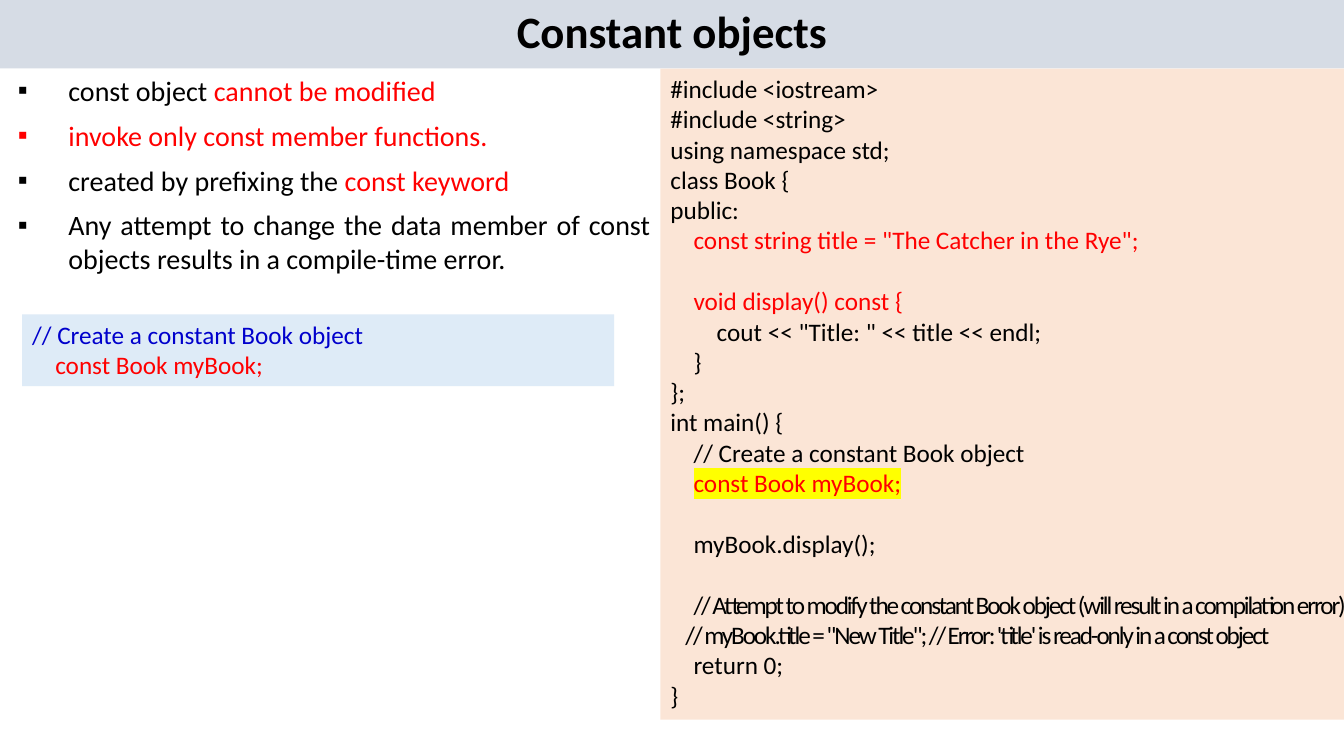
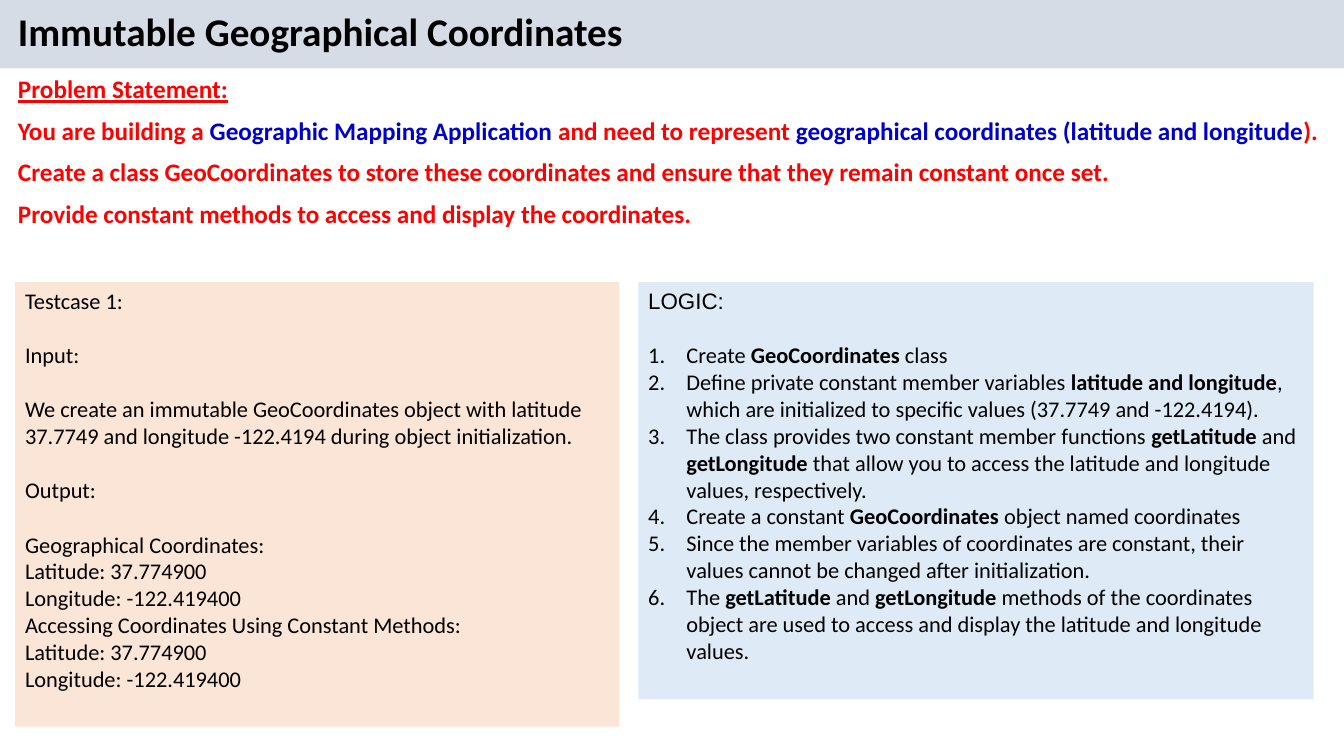
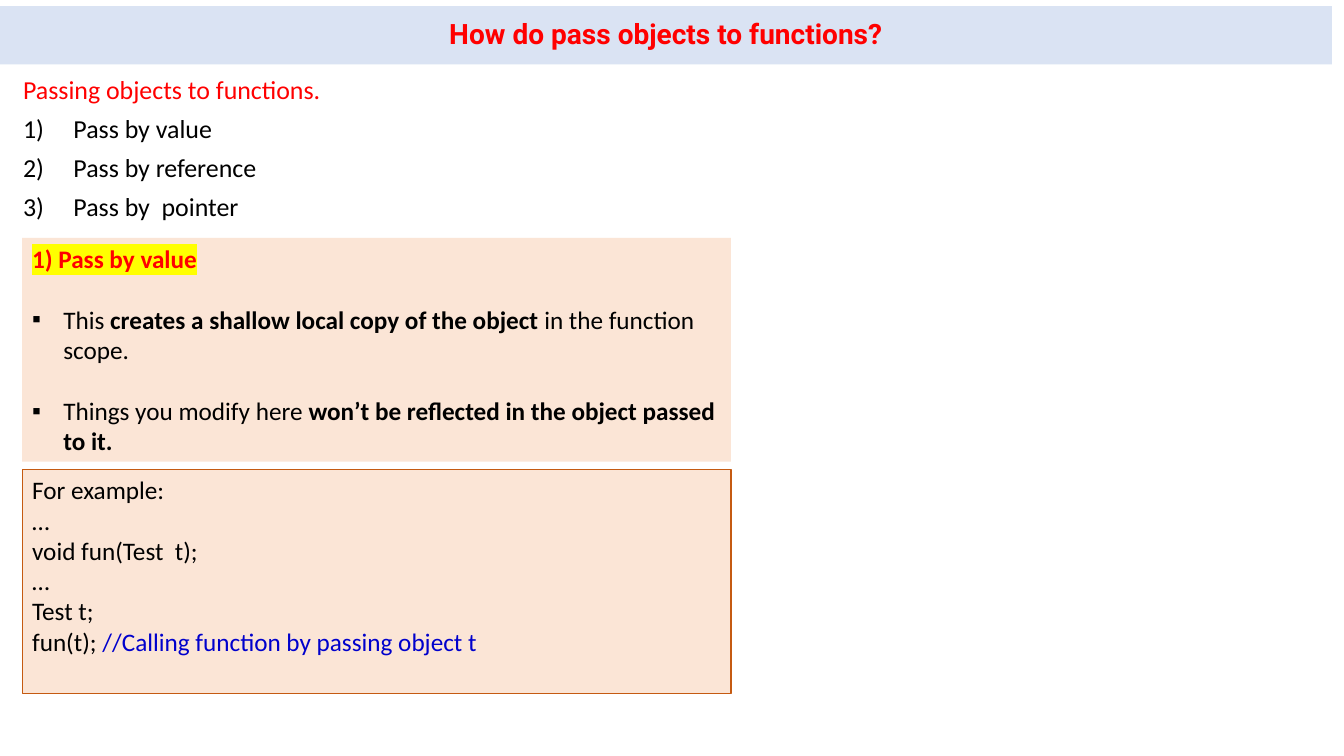
from lxml import etree
from pptx import Presentation
from pptx import util as u
from pptx.dml.color import RGBColor
from pptx.enum import shapes, text
from pptx.oxml.ns import qn

WIDTH, HEIGHT = 13.33, 7.5
BLACK, RED, BLUE, YELLOW = "000000", "FF0000", "0000CC", "FFFF00"
BAND, PEACH, SKY, PALE, RUST = "D6DCE5", "FBE5D6", "DEEBF7", "DAE3F3", "C55A11"
BAND_HEIGHT = 9.07
LINE_FACTOR = 1.22
TAB = 0.23
SQUARE, DOTTED, BRACKETED = "▪", "arabicPeriod", "arabicParenR"
CENTER, JUSTIFY = text.PP_ALIGN.CENTER, text.PP_ALIGN.JUSTIFY


def rgb(value):
    return RGBColor.from_string(value)


def red(words, **style):
    return words, {"color": RED, **style}


def blue(words):
    return words, {"color": BLUE}


def bold(words):
    return words, {"bold": True}


def line(*spans, **layout):
    """Describe one paragraph: its spans and its layout."""
    return spans, layout


def style_span(span, size, font="Calibri", color=BLACK, bold=False,
               underline=False, highlight=None, tracking=0):
    span.font.size = u.Pt(size)
    span.font.bold = bold
    span.font.underline = underline
    span.font.color.rgb = rgb(color)
    properties = span.font._element
    if highlight:
        mark = etree.SubElement(properties, qn("a:highlight"))
        etree.SubElement(mark, qn("a:srgbClr"), val=highlight)
    if tracking:
        properties.set("spc", str(int(tracking * 100)))
    span.font.name = font


def add_bullet(properties, bullet):
    if bullet == SQUARE:
        etree.SubElement(properties, qn("a:buFont"), typeface="Arial")
        etree.SubElement(properties, qn("a:buChar"), char=bullet)
    else:
        etree.SubElement(properties, qn("a:buFont"), typeface="+mj-lt")
        etree.SubElement(properties, qn("a:buAutoNum"), type=bullet)


def fill_para(para, spans, size, align=None, left=0, hang=0, bullet=None,
              spacing=None, before=0, after=0, skip=0, **style):
    """Write spans; skip is a gap above, counted in lines of text."""
    para.alignment = align
    para.line_spacing = spacing
    para.space_before = u.Pt(round(before + skip * size * LINE_FACTOR, 1))
    para.space_after = u.Pt(after)
    properties = para._p.get_or_add_pPr()
    properties.set("marL", str(u.Inches(left)))
    properties.set("indent", str(u.Inches(-hang)))
    if bullet:
        add_bullet(properties, bullet)
    for item in spans:
        words, own = (item, {}) if isinstance(item, str) else item
        span = para.add_run()
        span.text = words
        style_span(span, size, **{**style, **own})


def add_panel(page, area, lines, size, fill=None, border=None,
              anchor=text.MSO_ANCHOR.TOP, **defaults):
    """Place text in an area given as percentages of the slide's size."""
    left, top, width, height = area
    frame = [u.Inches(share * side / 100) for share, side in
             ((left, WIDTH), (top, HEIGHT), (width, WIDTH), (height, HEIGHT))]
    if fill:
        box = page.shapes.add_shape(shapes.MSO_SHAPE.RECTANGLE, *frame)
        box.shadow.inherit = False
        box.fill.solid()
        box.fill.fore_color.rgb = rgb(fill)
        if border:
            box.line.color.rgb = rgb(border)
            box.line.width = u.Pt(0.75)
        else:
            box.line.fill.background()
    else:
        box = page.shapes.add_textbox(*frame)
    body = box.text_frame
    body.word_wrap = True
    body.vertical_anchor = anchor
    for index, (spans, layout) in enumerate(lines):
        para = body.add_paragraph() if index else body.paragraphs[0]
        fill_para(para, spans, size,
                  **{"align": text.PP_ALIGN.LEFT, **defaults, **layout})


def add_title(page, words, size, area=(0, 0, 100, BAND_HEIGHT), fill=BAND,
              **layout):
    add_panel(page, area, [line(words)], size, fill, bold=True, spacing=0.9,
              anchor=text.MSO_ANCHOR.MIDDLE, **layout)


def build_constant_objects(page):
    add_title(page, "Constant objects", 32, align=CENTER, after=8)
    add_panel(page, (0, BAND_HEIGHT, 49.14, 28.27), [
        line("const object ", red("cannot be modified ")),
        line(red("invoke only const member functions.")),
        line("created by prefixing the ", red("const keyword")),
        line("Any attempt to change the data member of const objects "
             "results in a compile-time error."),
    ], 20, align=JUSTIFY, left=0.58, hang=0.5, bullet=SQUARE, after=8)
    add_panel(page, (1.65, 41.6, 44.04, 9.47), [
        line(blue("// Create a constant Book object")),
        line(red("const Book myBook;"), left=TAB),
    ], 18, SKY)
    add_panel(page, (49.14, BAND_HEIGHT, 51.76, 86.13), [
        line("#include <iostream>"),
        line("#include <string>"),
        line("using namespace std;"),
        line("class Book {"),
        line("public:"),
        line(red('const string title = "The Catcher in the Rye";'), left=TAB),
        line(red("void display() const {"), left=TAB, skip=1),
        line('cout << "Title: " << title << endl;', left=2 * TAB),
        line("}", left=TAB),
        line("};"),
        line("int main() {"),
        line("// Create a constant Book object", left=TAB),
        line(red("const Book myBook;", highlight=YELLOW), left=TAB),
        line("myBook.display();", left=TAB, skip=1),
        line("// Attempt to modify the constant Book object "
             "(will result in a compilation error)",
             left=TAB, skip=1, tracking=-1.5),
        line('// myBook.title = "New Title"; '
             "// Error: 'title' is read-only in a const object",
             left=0.15, tracking=-1.5),
        line("return 0;", left=TAB),
        line("}"),
    ], 18, PEACH)


def build_coordinates(page):
    add_title(page, "Immutable Geographical Coordinates", 28,
              align=JUSTIFY, left=0.08, after=8)
    add_panel(page, (0, BAND_HEIGHT, 100, 22), [
        line("Problem Statement:", underline=True),
        line("You are building a ", blue("Geographic Mapping Application "),
             "and need to represent ",
             blue("geographical coordinates (latitude and longitude"), "). "),
        line("Create a class GeoCoordinates to store these coordinates and "
             "ensure that they remain constant once set. "),
        line("Provide constant methods to access and display the "
             "coordinates."),
    ], 18, align=JUSTIFY, left=0.08, after=8, color=RED, bold=True)

    readings = [line("Latitude: 37.774900"), line("Longitude: -122.419400")]
    add_panel(page, (1.13, 37.33, 44.94, 58.8), [
        line("Testcase 1:"),
        line("Input:", skip=1),
        line("We create an immutable GeoCoordinates object with latitude "
             "37.7749 and longitude -122.4194 during object initialization.",
             skip=1),
        line("Output:", skip=1),
        line("Geographical Coordinates:", skip=1),
        *readings,
        line("Accessing Coordinates Using Constant Methods:"),
        *readings,
    ], 16, PEACH)

    step = {"left": 0.38, "hang": 0.38, "bullet": DOTTED}
    add_panel(page, (47.49, 37.33, 50.26, 55.2), [
        line("LOGIC:", font="Arial"),
        line("Create ", bold("GeoCoordinates"), " class", skip=1, **step),
        line("Define private constant member variables ",
             bold("latitude and longitude"),
             ", which are initialized to specific values "
             "(37.7749 and -122.4194).", **step),
        line("The class provides two constant member functions ",
             bold("getLatitude"), " and ", bold("getLongitude"),
             " that allow you to access the latitude and longitude values, "
             "respectively.", **step),
        line("Create a constant ", bold("GeoCoordinates"),
             " object named coordinates", **step),
        line("Since the member variables of coordinates are constant, their "
             "values cannot be changed after initialization.", **step),
        line("The ", bold("getLatitude"), " and ", bold("getLongitude"),
             " methods of the coordinates object are used to access and "
             "display the latitude and longitude values.", **step),
    ], 16, SKY)


def build_passing_objects(page):
    add_title(page, "How do pass objects to functions?", 20,
              (0, 0.8, 99.1, 7.73), PALE, align=CENTER, font="Roboto",
              color=RED)
    way = {"left": 0.5, "hang": 0.5, "bullet": BRACKETED}
    add_panel(page, (0.98, 9.87, 98.05, 20.67), [
        line(red("Passing objects to functions.")),
        line("Pass by value", **way),
        line("Pass by reference", **way),
        line("Pass by  pointer", **way),
    ], 18.5, spacing=0.8, before=10)

    left, top, width, height, gap = 1.65, 31.47, 52.74, 29.6, 1.07
    point = {"left": 0.31, "hang": 0.31, "bullet": SQUARE, "skip": 1}
    add_panel(page, (left, top, width, height), [
        line(red("1) Pass by value", bold=True, highlight=YELLOW)),
        line("This ", bold("creates a shallow local copy of the object "),
             "in the function scope.", **point),
        line("Things you modify here ",
             bold("won’t be reflected in the object passed to it."), **point),
    ], 18, PEACH)
    add_panel(page, (left, top + height + gap, width, height), [
        line("For example:"),
        line("…"),
        line("void fun(Test  t);"),
        line("…"),
        line("Test t;"),
        line("fun(t); ", blue("//Calling function by passing object t")),
    ], 18, PEACH, RUST)


def main():
    deck = Presentation()
    deck.slide_width = u.Inches(WIDTH)
    deck.slide_height = u.Inches(HEIGHT)
    for build in (build_constant_objects, build_coordinates,
                  build_passing_objects):
        build(deck.slides.add_slide(deck.slide_layouts[6]))
    deck.save("out.pptx")


if __name__ == "__main__":
    main()
